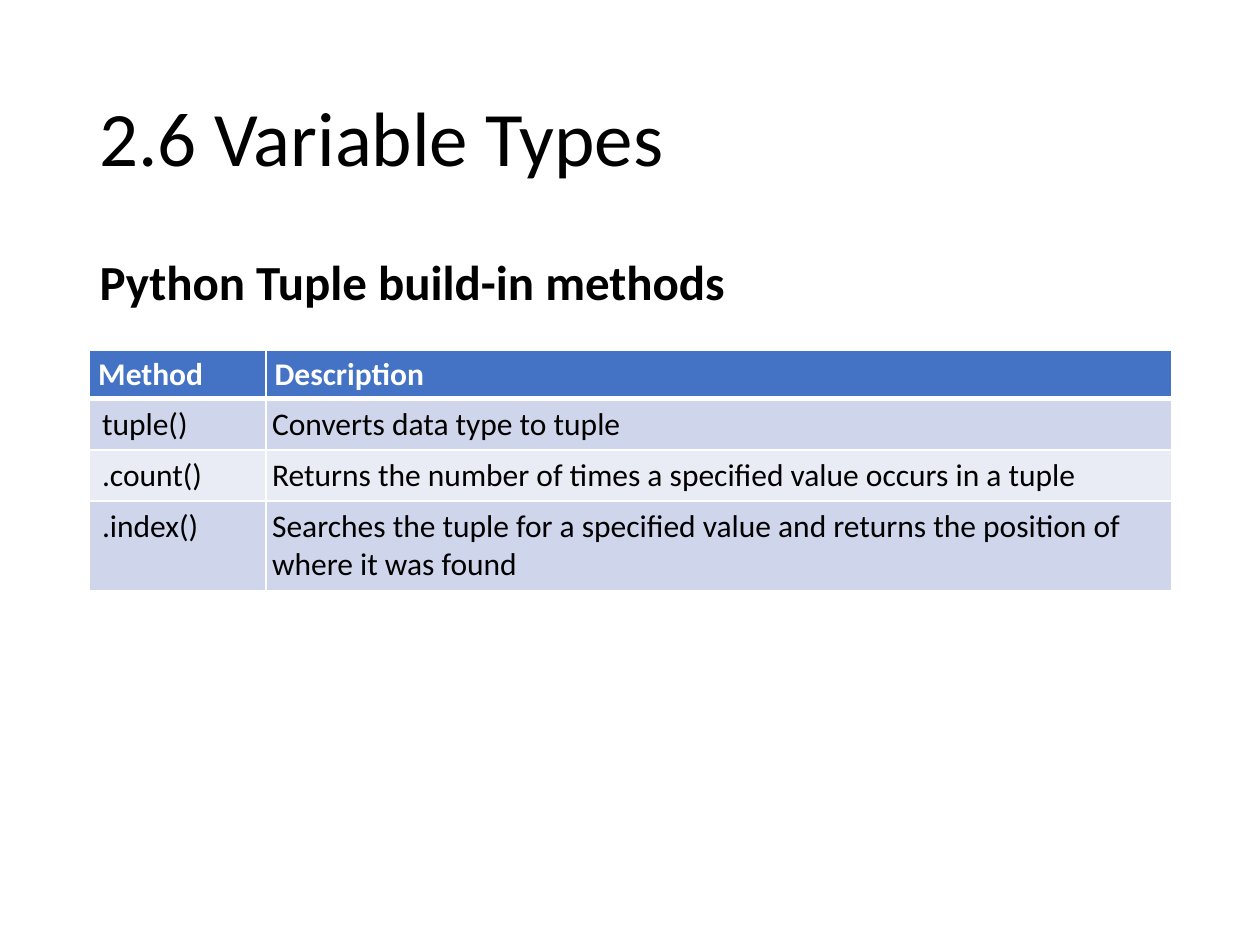
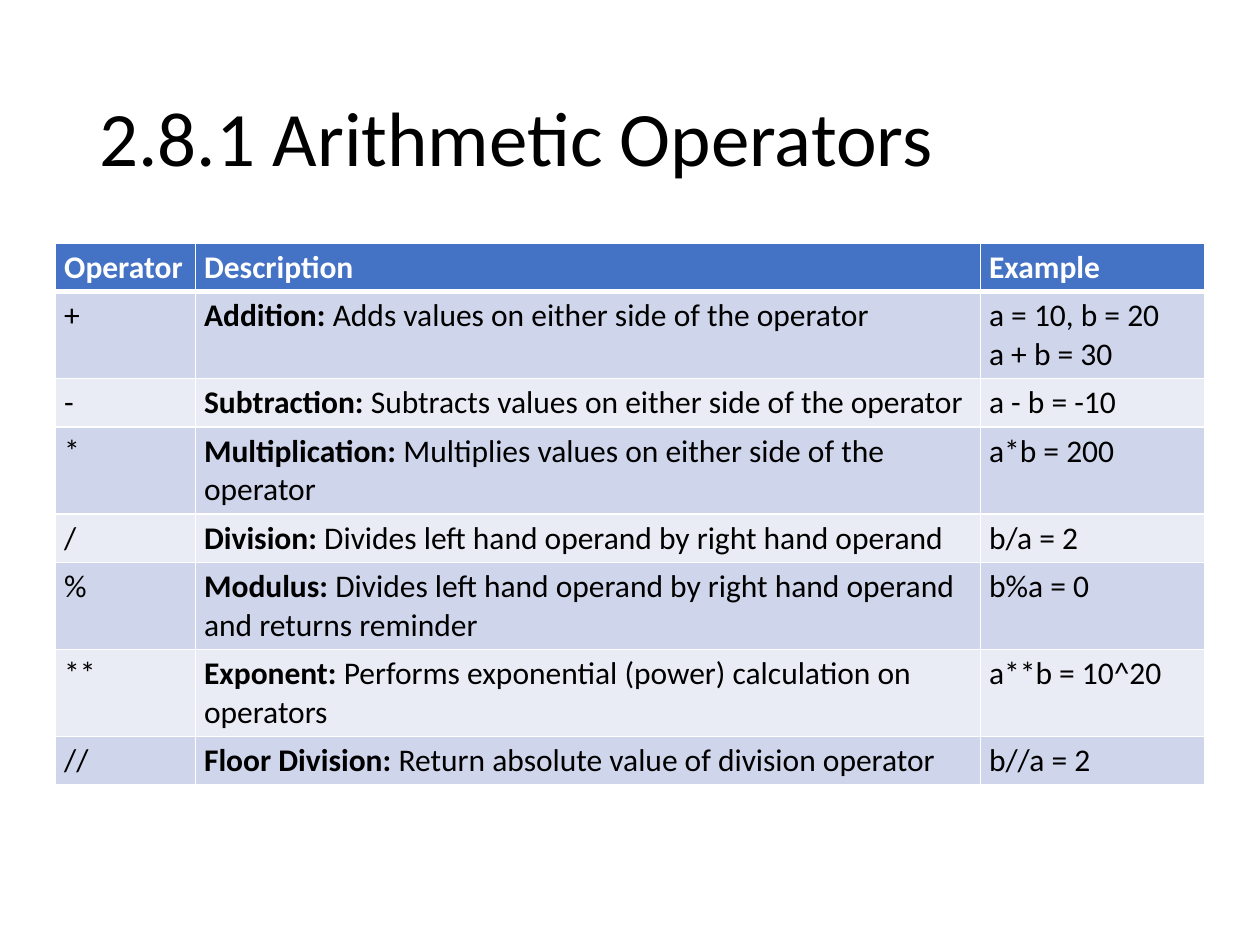
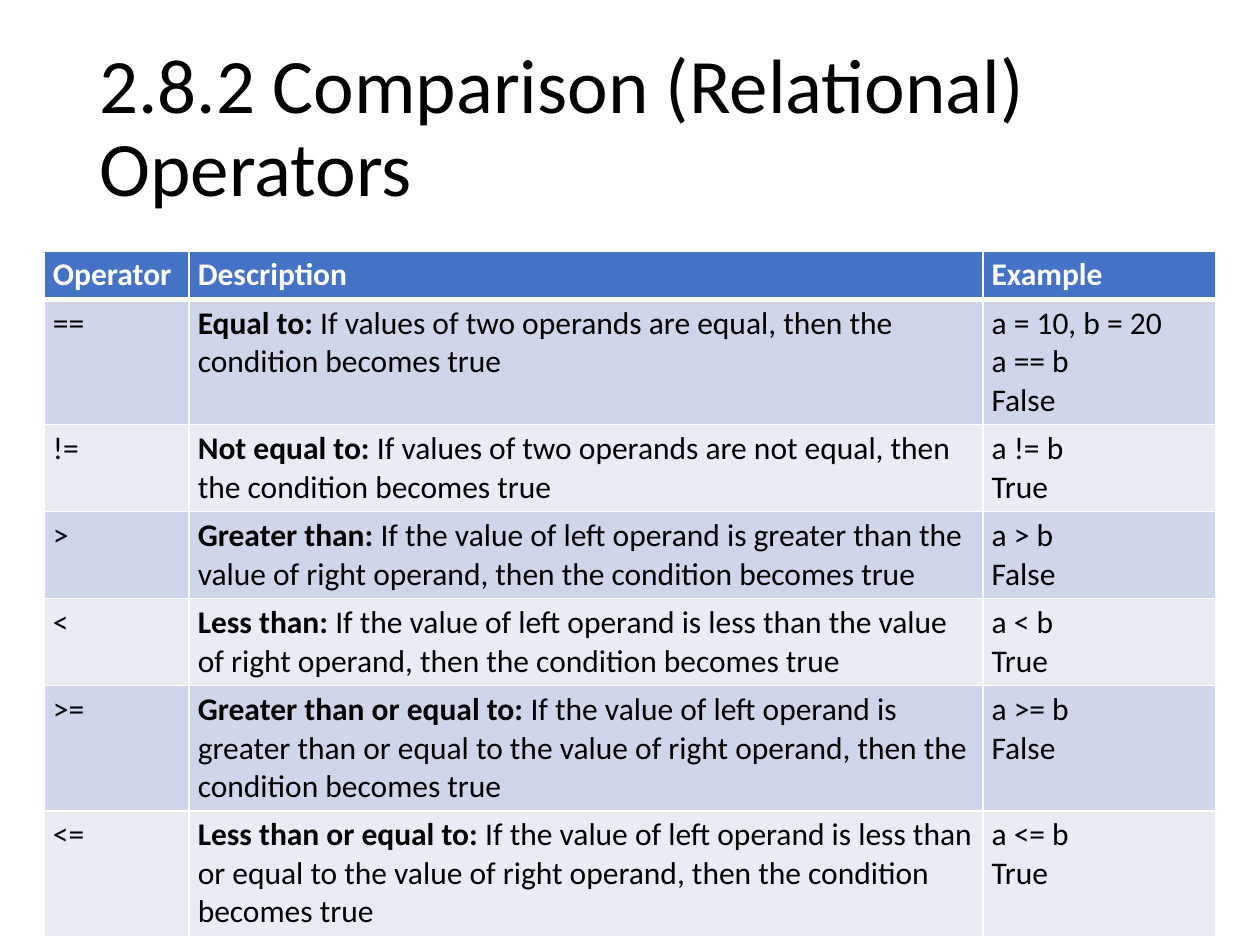
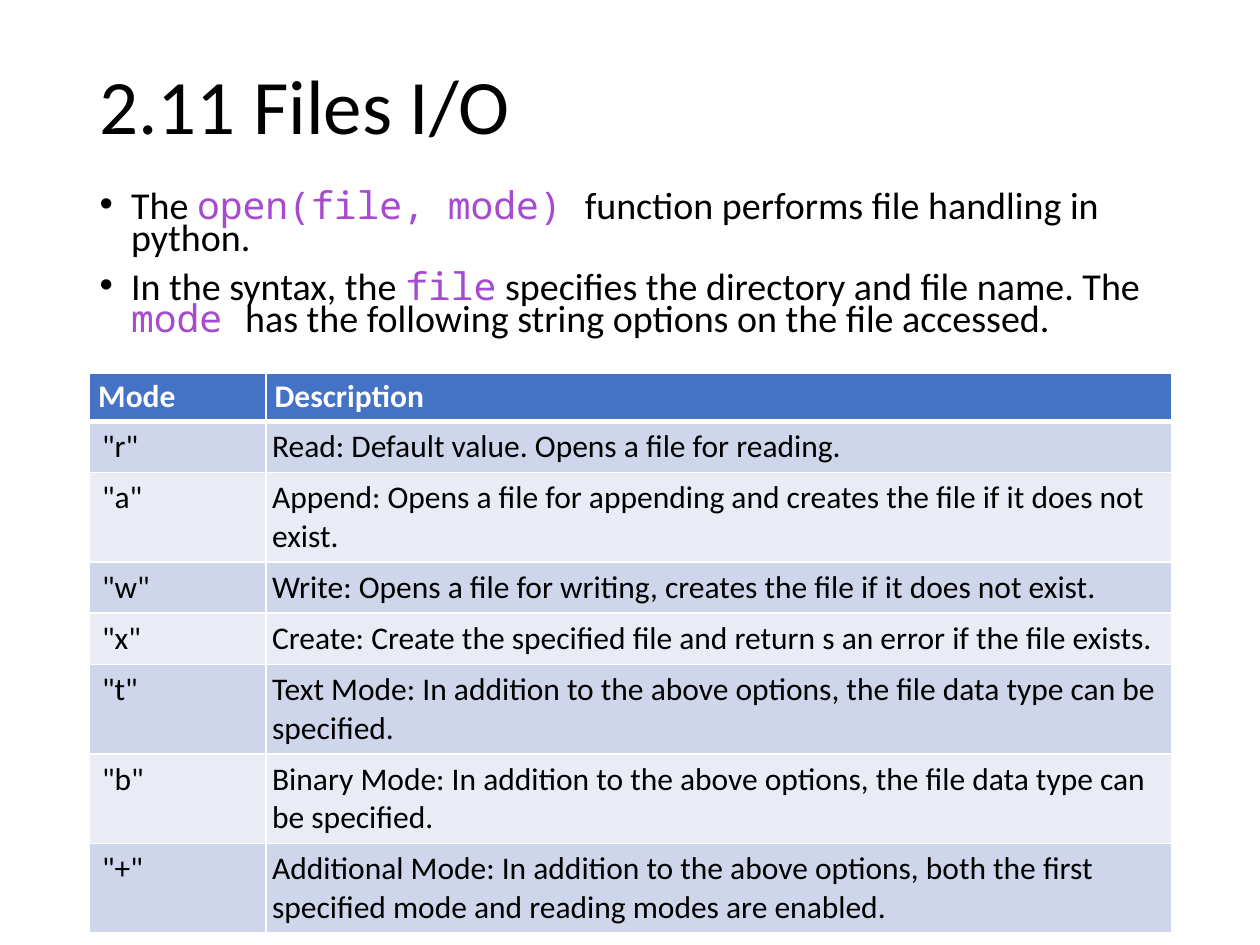
"""Build four lesson slides on Python methods, operators and file modes."""
from lxml import etree
from pptx import Presentation
from pptx import util as u
from pptx.dml import color
from pptx.enum import text
from pptx.oxml import ns

BLACK, WHITE, PURPLE = "000000", "FFFFFF", "A64BCF"
HEADER, BANDS = "4472C4", ("CFD5EA", "E9EBF5")
SANS, MONO = "Calibri", "Noto Sans Mono"
LEFT, WIDTH = 0.69, 8.62


def add_run(para, words, size, ink=BLACK, bold=False, face=SANS):
    span = para.add_run()
    span.text = words
    span.font.size = u.Pt(size)
    span.font.name = face
    span.font.bold = bold
    span.font.color.rgb = color.RGBColor.from_string(ink)


def add_border(cell, side, points):
    line = etree.Element(ns.qn(f"a:ln{side}"), w=str(u.Pt(points)))
    fill = etree.SubElement(line, ns.qn("a:solidFill"))
    etree.SubElement(fill, ns.qn("a:srgbClr"), val=WHITE)
    cell._tc.get_or_add_tcPr().insert("LRTB".index(side), line)


method_rows = [
    ("Method", "Description"),
    ("tuple()", "Converts data type to tuple"),
    (".count()", "Returns the number of times a specified value occurs in a tuple"),
    (".index()", "Searches the tuple for a specified value and returns the position of where it was found"),
]
arithmetic_rows = [
    ("Operator", "Description", "Example"),
    ("+", "Addition: Adds values on either side of the operator", "a = 10, b = 20\na + b = 30"),
    ("-", "Subtraction: Subtracts values on either side of the operator", "a - b = -10"),
    ("*", "Multiplication: Multiplies values on either side of the operator", "a*b = 200"),
    ("/", "Division: Divides left hand operand by right hand operand", "b/a = 2"),
    ("%", "Modulus: Divides left hand operand by right hand operand and returns reminder", "b%a = 0"),
    ("**", "Exponent: Performs exponential (power) calculation on operators", "a**b = 10^20"),
    ("//", "Floor Division: Return absolute value of division operator", "b//a = 2"),
]
comparison_rows = [
    ("Operator", "Description", "Example"),
    ("==", "Equal to: If values of two operands are equal, then the condition becomes true",
     "a = 10, b = 20\na == b\nFalse"),
    ("!=", "Not equal to: If values of two operands are not equal, then the condition becomes true",
     "a != b\nTrue"),
]
for sign, name, phrase, answer in [
    (">", "Greater than", "greater than", "False"),
    ("<", "Less than", "less than", "True"),
    (">=", "Greater than or equal to", "greater than or equal to", "False"),
    ("<=", "Less than or equal to", "less than or equal to", "True"),
]:
    meaning = f"{name}: If the value of left operand is {phrase} the value of right operand, then the condition becomes true"
    comparison_rows.append((sign, meaning, f"a {sign} b\n{answer}"))
mode_rows = [
    ("Mode", "Description"),
    ('"r"', "Read: Default value. Opens a file for reading."),
    ('"a"', "Append: Opens a file for appending and creates the file if it does not exist."),
    ('"w"', "Write: Opens a file for writing, creates the file if it does not exist."),
    ('"x"', "Create: Create the specified file and return s an error if the file exists."),
    ('"t"', "Text Mode: In addition to the above options, the file data type can be specified."),
    ('"b"', "Binary Mode: In addition to the above options, the file data type can be specified."),
    ('"+"', "Additional Mode: In addition to the above options, both the first specified mode and reading modes are enabled."),
]

tuple_heading = {
    "top": 2, "height": 4.76, "size": 28, "spacing": 0.9, "bullets": False,
    "paras": [[("Python Tuple build-in methods", BLACK, True, SANS)]],
}
plain, code = (BLACK, False, SANS), (PURPLE, False, MONO)
file_notes = {
    "top": 1.49, "height": 1.44, "size": 21.7, "spacing": 0.7, "bullets": True,
    "paras": [
        [("The ", *plain), ("open(file, mode) ", *code),
         ("function performs file handling in python.", *plain)],
        [("In the syntax, the ", *plain), ("file", *code),
         (" specifies the directory and file name. The ", *plain), ("mode ", *code),
         ("has the following string options on the file accessed.", *plain)],
    ],
}

pair_columns = (1.4, 7.19)
lessons = [
    ("2.6 Variable Types", 0.4, 1.45, tuple_heading, method_rows, pair_columns, (0.71, 2.78, 1.88)),
    ("2.8.1 Arithmetic Operators", 0.4, 1.45, None, arithmetic_rows, (1.11, 6.23, 1.78), (0.44, 1.93, 4.2)),
    ("2.8.2 Comparison (Relational) Operators", 0.31, 1.45, None, comparison_rows, (1.15, 6.3, 1.85),
     (0.35, 1.99, 5.33)),
    ("2.11 Files I/O", 0.4, 0.94, file_notes, mode_rows, pair_columns, (0.71, 2.96, 4.38)),
]

deck = Presentation()
deck.slide_width, deck.slide_height = u.Inches(10), u.Inches(7.5)

for heading, title_top, title_height, body, rows, columns, place in lessons:
    page = deck.slides.add_slide(deck.slide_layouts[1 if body else 5])

    title = page.shapes.title
    title.left, title.top = u.Inches(LEFT), u.Inches(title_top)
    title.width, title.height = u.Inches(WIDTH), u.Inches(title_height)
    title.text_frame.auto_size = text.MSO_AUTO_SIZE.NONE
    title.text_frame.vertical_anchor = text.MSO_ANCHOR.MIDDLE
    para = title.text_frame.paragraphs[0]
    para.alignment = text.PP_ALIGN.LEFT
    para.line_spacing = 0.9
    add_run(para, heading, 44)

    if body:
        box = page.placeholders[1]
        box.left, box.top = u.Inches(LEFT), u.Inches(body["top"])
        box.width, box.height = u.Inches(WIDTH), u.Inches(body["height"])
        box.text_frame.auto_size = text.MSO_AUTO_SIZE.NONE
        for number, spans in enumerate(body["paras"]):
            para = box.text_frame.add_paragraph() if number else box.text_frame.paragraphs[0]
            para.line_spacing = body["spacing"]
            para.space_before = u.Pt(10)
            indent = u.Inches(0.25) if body["bullets"] else 0
            settings = para._p.get_or_add_pPr()
            settings.set("marL", str(indent))
            settings.set("indent", str(-indent))
            if not body["bullets"]:
                etree.SubElement(settings, ns.qn("a:buNone"))
            for words, ink, bold, face in spans:
                add_run(para, words, body["size"], ink, bold, face)

    left, top, height = (u.Inches(length) for length in place)
    frame = page.shapes.add_table(len(rows), len(columns), left, top, u.Inches(sum(columns)), height)
    table = frame.table
    roomy = len(columns) == 2
    for column, width in zip(table.columns, columns):
        column.width = u.Inches(width)
    for r, row in enumerate(rows):
        table.rows[r].height = u.Inches(0.33 if roomy and r else 0.3)
        for c, words in enumerate(row):
            cell = table.cell(r, c)
            side, edge = (0.05, 0.05) if roomy and r else (0.07, 0.04)
            cell.margin_left = u.Inches(0.1 if roomy and r and c == 0 else side)
            cell.margin_right = u.Inches(side)
            cell.margin_top = cell.margin_bottom = u.Inches(edge)
            cell.fill.solid()
            cell.fill.fore_color.rgb = color.RGBColor.from_string(BANDS[(r - 1) % 2] if r else HEADER)
            for border in "LRTB":
                add_border(cell, border, 3 if (r, border) in ((0, "B"), (1, "T")) else 1)
            for number, line in enumerate(words.split("\n")):
                para = cell.text_frame.add_paragraph() if number else cell.text_frame.paragraphs[0]
                if r == 0:
                    add_run(para, line, 18, WHITE, True)
                elif c == 1 and not roomy:
                    term, colon, meaning = line.partition(":")
                    add_run(para, term + colon, 18, bold=True)
                    add_run(para, meaning, 18)
                else:
                    add_run(para, line, 18)
    frame.height = height

deck.save("out.pptx")
